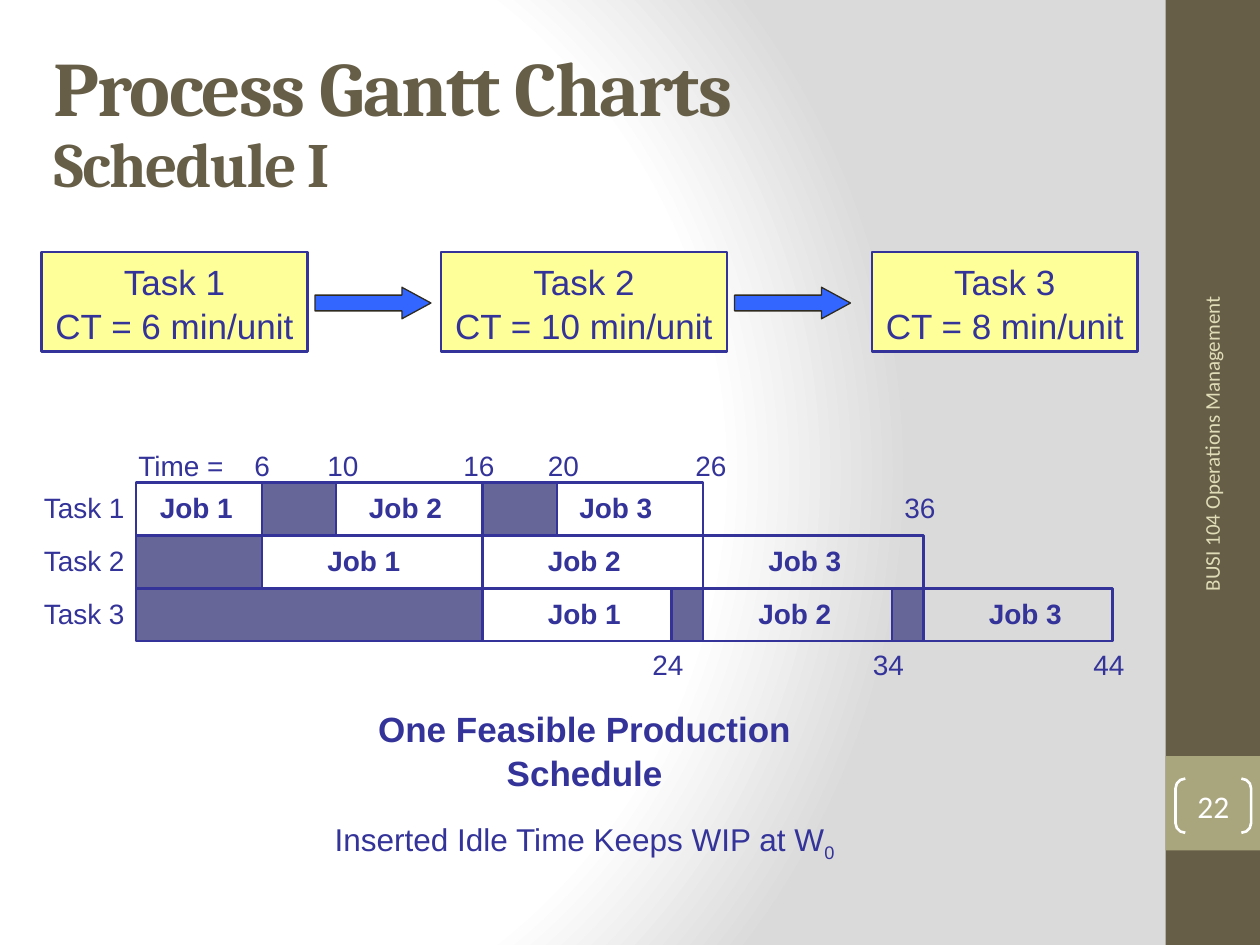
from dataclasses import dataclass

from lxml import etree
from pptx import Presentation
from pptx.dml.color import RGBColor
from pptx.enum.shapes import MSO_SHAPE
from pptx.enum.text import MSO_ANCHOR, PP_ALIGN
from pptx.oxml import parse_xml
from pptx.oxml.ns import nsdecls, qn
from pptx.util import Inches, Pt


@dataclass(frozen=True)
class Theme:
    brown: str = "675E47"
    olive: str = "A9A57C"
    cream: str = "DFDCB7"
    navy: str = "333399"
    idle: str = "666699"
    yellow: str = "FFFF99"
    blue: str = "3366FF"
    ink: str = "2F2B20"
    white: str = "FFFFFF"
    gray: str = "DADADA"
    body: str = "Arial"
    heading: str = "Cambria"
    side: str = "Calibri"
    title_size: int = 44
    subtitle_size: int = 36
    large: int = 20
    medium: int = 18
    small: int = 16
    footer: int = 12


T = Theme()

# Left edge of each moment (in minutes) on the chart
TIME_X = {0: 1.08, 6: 2.08, 10: 2.67, 16: 3.83, 20: 4.42,
          24: 5.33, 26: 5.58, 34: 7.08, 36: 7.33, 44: 8.83}
CHART_TOP, ROW_H = 3.83, 0.42
# Per task: (start, end, left edge of the job label)
JOBS = [
    [(0, 6, 1.17), (10, 16, 2.83), (20, 26, 4.5)],
    [(6, 16, 2.5), (16, 26, 4.25), (26, 36, 6)],
    [(16, 24, 4.25), (26, 34, 5.92), (36, 44, 7.75)],
]
IDLE = [[(6, 10), (16, 20)], [(0, 6)], [(0, 16), (24, 26), (34, 36)]]


def add_run(p, text, size=T.small, font=T.body, color=T.navy, bold=False,
            baseline=None, spacing=None):
    r = p.add_run()
    r.text = text
    r.font.size = Pt(size)
    r.font.name = font
    r.font.bold = bold
    r.font.color.rgb = RGBColor.from_string(color)
    if baseline is not None:
        r.font._element.set("baseline", str(baseline * 1000))
    if spacing is not None:
        r.font._element.set("spc", str(spacing * 100))


def write(sp, lines, align=PP_ALIGN.LEFT, anchor=MSO_ANCHOR.TOP, wrap=False,
          line_spacing=1.05, **fmt):
    """Put one paragraph per line of text into a shape."""
    tf = sp.text_frame
    tf.word_wrap = wrap
    tf.vertical_anchor = anchor
    for i, line in enumerate(lines):
        p = tf.add_paragraph() if i else tf.paragraphs[0]
        p.alignment = align
        p.line_spacing = line_spacing
        add_run(p, line, **fmt)
    return tf


def add_text(s, box, *lines, **fmt):
    sp = s.shapes.add_textbox(*map(Inches, box))
    write(sp, lines, **fmt)
    return sp


def add_shape(s, kind, box, fill=None, line=None, width=1.25):
    sp = s.shapes.add_shape(kind, *map(Inches, box))
    sp.shadow.inherit = False
    if fill:
        sp.fill.solid()
        sp.fill.fore_color.rgb = RGBColor.from_string(fill)
    else:
        sp.fill.background()
    if line:
        sp.line.color.rgb = RGBColor.from_string(line)
        sp.line.width = Pt(width)
    else:
        sp.line.fill.background()
    return sp


def set_background(s):
    """Radial gradient from white to gray, centred left of the middle."""
    s.background.fill.gradient()
    grad = s.element.find(".//" + qn("a:gradFill"))
    stops = "".join(
        f'<a:gs pos="{pos * 1000}"><a:srgbClr val="{color}"/></a:gs>'
        for pos, color in ((0, T.white), (75, T.white), (100, T.gray)))
    new = parse_xml(
        f'<a:gradFill {nsdecls("a")} rotWithShape="1"><a:gsLst>{stops}</a:gsLst>'
        '<a:path path="circle"><a:fillToRect l="20000" t="50000" r="100000" '
        'b="50000"/></a:path></a:gradFill>')
    grad.getparent().replace(grad, new)


def add_sidebar(s):
    add_shape(s, MSO_SHAPE.RECTANGLE, (9.25, 0, 0.75, 7.5), T.brown)
    add_shape(s, MSO_SHAPE.RECTANGLE, (9.25, 6, 0.75, 0.75), T.olive)
    footer = add_text(s, (7.78, 3.87, 3.67, 0.44), "BUSI 104 Operations Management",
                      align=PP_ALIGN.RIGHT, anchor=MSO_ANCHOR.MIDDLE, wrap=True,
                      line_spacing=1, size=T.footer, font=T.side, color=T.cream)
    footer.rotation = 270
    number = add_shape(s, MSO_SHAPE.DOUBLE_BRACKET, (9.33, 6.18, 0.6, 0.43),
                       line=T.white, width=1.5)
    number.adjustments[0] = 0.18
    tf = write(number, ["22"], align=PP_ALIGN.CENTER, anchor=MSO_ANCHOR.MIDDLE,
               wrap=True, line_spacing=1, size=T.medium, font=T.side, color=T.white)
    tf.margin_left = tf.margin_right = tf.margin_top = tf.margin_bottom = 0


def add_title(s):
    fmt = dict(font=T.heading, color=T.brown, bold=True, spacing=-1)
    sp = add_text(s, (0.33, 0.33, 8.5, 1.33), "Process Gantt Charts",
                  anchor=MSO_ANCHOR.MIDDLE, wrap=True, line_spacing=0.9,
                  size=T.title_size, **fmt)
    p = sp.text_frame.paragraphs[0]
    p.add_line_break()
    add_run(p, "Schedule I", size=T.subtitle_size, **fmt)


def add_process_flow(s):
    steps = [(0.33, 2.11, 6), (3.5, 2.27, 10), (6.92, 2.11, 8)]
    for i, (x, w, minutes) in enumerate(steps, 1):
        sp = add_shape(s, MSO_SHAPE.RECTANGLE, (x, 2, w, 0.79), T.yellow, T.navy, 1.5)
        write(sp, [f"Task {i}", f"CT = {minutes} min/unit"],
              align=PP_ALIGN.CENTER, size=T.large)
    for x in (2.5, 5.83):
        arrow = add_shape(s, MSO_SHAPE.RIGHT_ARROW, (x, 2.28, 0.92, 0.25),
                          T.blue, T.ink, 0.75)
        arrow.adjustments[1] = 0.92


def add_bar(s, start, end, y, fill=None):
    x = TIME_X[start]
    add_shape(s, MSO_SHAPE.RECTANGLE, (x, y, TIME_X[end] - x, ROW_H), fill, T.navy)


def add_gantt(s):
    for row, (jobs, idle) in enumerate(zip(JOBS, IDLE)):
        y = CHART_TOP + row * ROW_H
        add_text(s, (0.25, y, 0.87, 0.37), f"Task {row + 1}")
        for start, end in idle:
            add_bar(s, start, end, y, T.idle)
        for job, (start, end, label_x) in enumerate(jobs, 1):
            add_bar(s, start, end, y)
            add_text(s, (label_x, y, 0.78, 0.37), f"Job {job}", bold=True)

    add_text(s, (1, 3.5, 0.89, 0.37), "Time =")
    add_text(s, (1.92, 3.5, 0.32, 0.37), "6")
    marks = [(10, 2.5, 3.5), (16, 3.58, 3.5), (20, 4.25, 3.5), (26, 5.42, 3.5),
             (36, 7.08, 3.83), (24, 5.08, 5.08), (34, 6.83, 5.08), (44, 8.58, 5.08)]
    for minute, x, y in marks:
        add_text(s, (x, y, 0.45, 0.37), str(minute))


def add_conclusion(s):
    sp = add_text(s, (2.39, 5.55, 4.5, 1.3), "One Feasible Production Schedule",
                  align=PP_ALIGN.CENTER, wrap=True, size=T.large, bold=True)
    p = sp.text_frame.add_paragraph()
    p.alignment = PP_ALIGN.CENTER
    p.space_before = Pt(15)
    add_run(p, "Inserted Idle Time Keeps WIP at W", size=T.medium)
    add_run(p, "0", size=T.medium, baseline=-25)


def main():
    prs = Presentation()
    prs.slide_width, prs.slide_height = Inches(10), Inches(7.5)
    s = prs.slides.add_slide(prs.slide_layouts[6])
    set_background(s)
    add_sidebar(s)
    add_title(s)
    add_process_flow(s)
    add_gantt(s)
    add_conclusion(s)
    prs.save("out.pptx")


if __name__ == "__main__":
    main()
